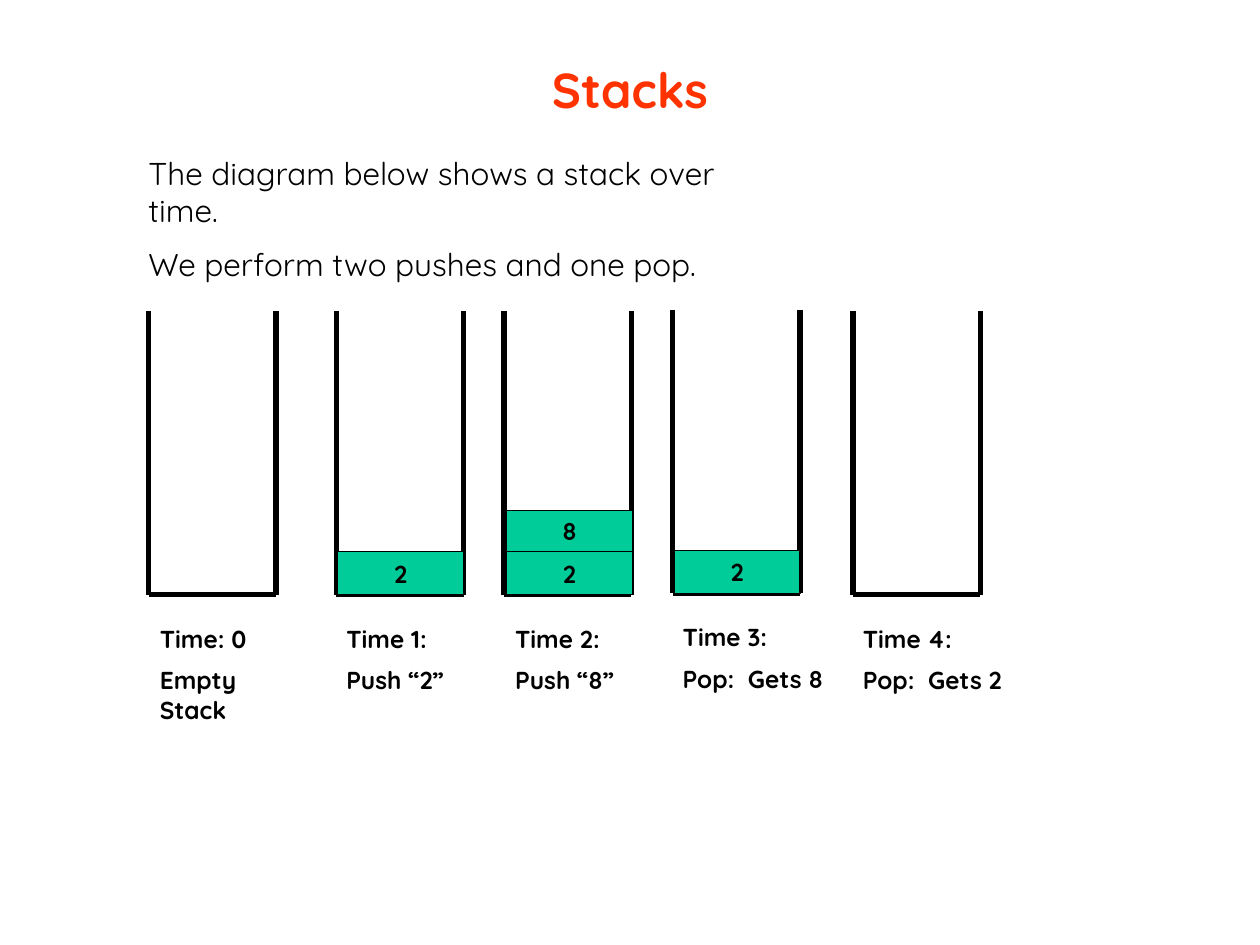
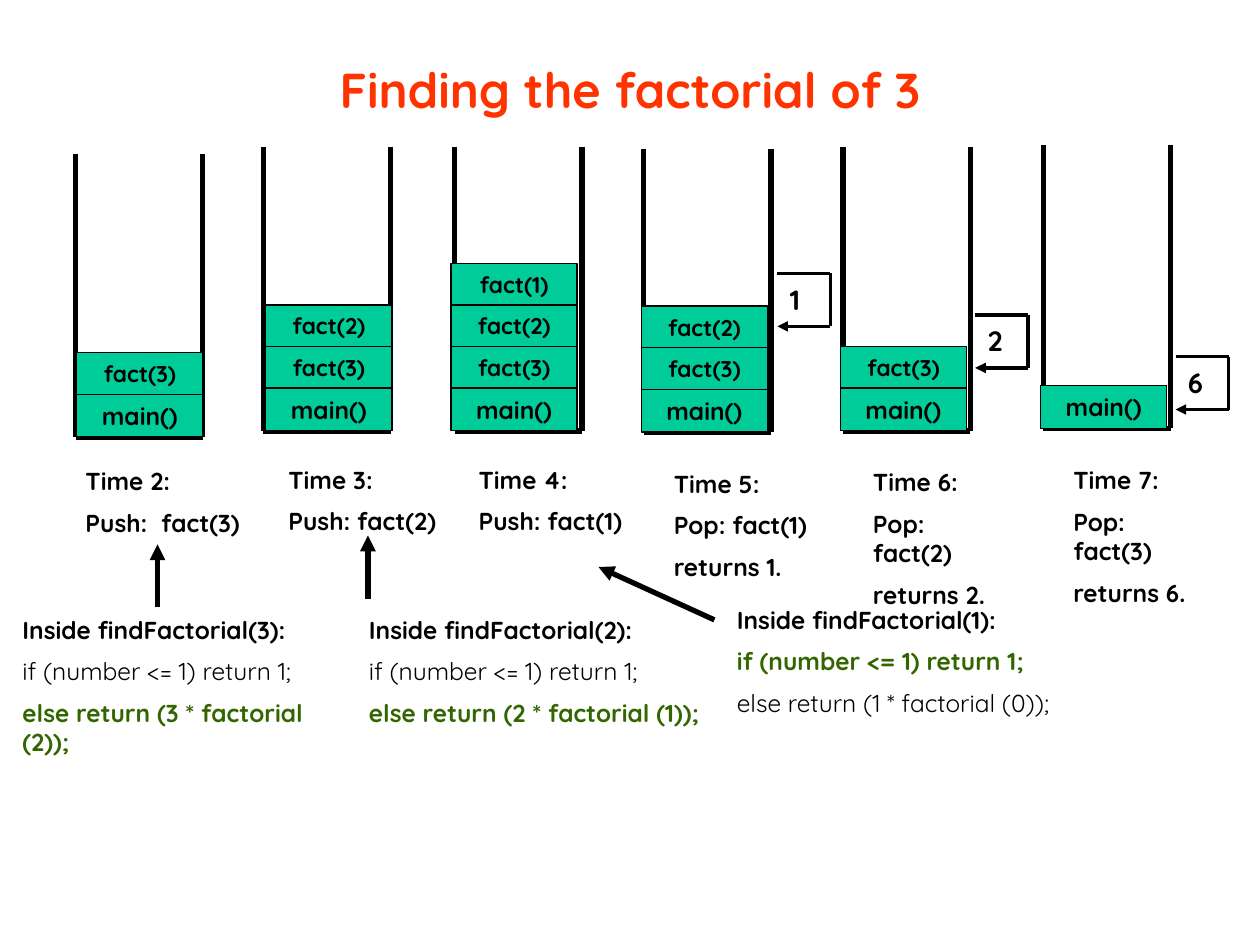
import pptx
import pptx.util
import pptx.dml.color
import pptx.enum.shapes
import pptx.enum.text
import pptx.oxml.ns
from lxml import etree

Inches, Pt = pptx.util.Inches, pptx.util.Pt
ALIGN, ANCHOR = pptx.enum.text.PP_ALIGN, pptx.enum.text.MSO_ANCHOR

COLORS = {"title": "FF3300", "ink": "000000", "frame": "00CC99", "active": "336600"}
FONT = "Quicksand"
BIN_W, BIN_H = 1.01, 2.25
BASE_H, FRAME_H = 0.34, 0.33
LOOP_W, LOOP_H = 0.42, 0.42

INTRO = ["The diagram below shows a stack over time.",
         "We perform two pushes and one pop."]

# bin left, bin top, frames from the bottom up, frame shift,
# label shift right, label shift down, label width, label lines
TIMELINE = [
    (1.18, 2.47, [], 0, -0.01, 2.43, 1.36, ["Time: 0", "Empty Stack"]),
    (2.67, 2.47, ["2"], 0.01, -0.02, 2.43, 1.03, ["Time 1:", "Push “2”"]),
    (4.00, 2.47, ["2", "8"], 0.02, -0.01, 2.43, 1.03, ["Time 2:", "Push “8”"]),
    (5.34, 2.46, ["2"], 0.01, -0.02, 2.43, 1.34, ["Time 3:", "Pop:  Gets 8"]),
    (6.77, 2.47, [], 0, -0.02, 2.43, 1.34, ["Time 4:", "Pop:  Gets 2"]),
]
CALLS = [
    (0.60, 1.22, ["main()", "fact(3)"], 0.01, -0.02, 2.43, 1.61,
     ["Time 2:", "Push:  fact(3)"]),
    (2.09, 1.17, ["main()", "fact(3)", "fact(2)"], 0.02, 0.1, 2.47, 1.39,
     ["Time 3:", "Push: fact(2)"]),
    (3.61, 1.17, ["main()", "fact(3)", "fact(2)", "fact(1)"], -0.03, 0.09, 2.47, 1.39,
     ["Time 4:", "Push: fact(1)"]),
    (5.11, 1.18, ["main()", "fact(3)", "fact(2)"], -0.02, 0.14, 2.49, 1.27,
     ["Time 5:", "Pop: fact(1)", "returns 1."]),
    (6.69, 1.17, ["main()", "fact(3)"], -0.02, 0.14, 2.49, 1.27,
     ["Time 6:", "Pop: fact(2)", "returns 2."]),
    (8.28, 1.15, ["main()"], -0.02, 0.14, 2.49, 1.27,
     ["Time 7:", "Pop: fact(3)", "returns 6."]),
]
# returned value, loop left, loop top
RETURNS = [("1", 6.17, 2.17), ("2", 7.74, 2.5), ("6", 9.33, 2.83)]
# left, top, lines, index of the line that runs, arrow start, arrow end
CODE = [
    (0.08, 4.83, ["Inside findFactorial(3):", "if (number <= 1) return 1;",
                  "else return (3 * factorial (2));"], 2, (1.25, 4.82), (1.25, 4.32)),
    (2.83, 4.83, ["Inside findFactorial(2):", "if (number <= 1) return 1;",
                  "else return (2 * factorial (1));"], 2, (2.92, 4.75), (2.92, 4.25)),
    (5.75, 4.75, ["Inside findFactorial(1):", "if (number <= 1) return 1;",
                  "else return (1 * factorial (0));"], 1, (5.67, 4.92), (4.75, 4.5)),
]


def rgb(name):
    return pptx.dml.color.RGBColor.from_string(COLORS[name])


def write(sp, lines, size, bold=True, color="ink", align=ALIGN.LEFT, anchor=ANCHOR.TOP):
    tf = sp.text_frame
    tf.word_wrap = True
    tf.vertical_anchor = anchor
    for i, line in enumerate(lines):
        p = tf.add_paragraph() if i else tf.paragraphs[0]
        p.text = line
        p.alignment = align
        if i:
            p.space_before = Pt(size / 2)
        p.font.name, p.font.size, p.font.bold = FONT, Pt(size), bold
        p.font.color.rgb = rgb(color)
    return tf


def add_text(s, left, top, width, height, lines, size, **style):
    sp = s.shapes.add_textbox(Inches(left), Inches(top), Inches(width), Inches(height))
    return write(sp, lines, size, **style)


def add_path(s, points, width, arrow=False):
    """Join the points with straight lines, the last one with an optional arrowhead."""
    for start, end in zip(points, points[1:]):
        line = s.shapes.add_connector(pptx.enum.shapes.MSO_CONNECTOR.STRAIGHT,
                                      *map(Inches, start + end))
        line.line.color.rgb = rgb("ink")
        line.line.width = Pt(width)
        etree.SubElement(line._element.spPr, pptx.oxml.ns.qn("a:effectLst"))
    if arrow:
        etree.SubElement(line.line._get_or_add_ln(), pptx.oxml.ns.qn("a:tailEnd"),
                         type="triangle")


def add_frame(s, left, top, height, text, size):
    sp = s.shapes.add_shape(pptx.enum.shapes.MSO_SHAPE.RECTANGLE,
                            Inches(left), Inches(top), Inches(1), Inches(height))
    sp.shadow.inherit = False
    sp.fill.solid()
    sp.fill.fore_color.rgb = rgb("frame")
    sp.line.color.rgb = rgb("ink")
    sp.line.width = Pt(0.75)
    write(sp, [text], size, align=ALIGN.CENTER, anchor=ANCHOR.MIDDLE)


def add_stack(s, left, top, frames, frame_dx, label_dx, label_dy, label_w, label):
    right, bottom = left + BIN_W, top + BIN_H
    add_path(s, [(left, top), (left, bottom), (right, bottom), (right, top)], 3)
    for i, text in enumerate(frames):
        height = FRAME_H if i else BASE_H
        add_frame(s, left + frame_dx, bottom - BASE_H - i * FRAME_H, height, text,
                  13 if text.startswith("fact") else 14)
    add_text(s, left + label_dx, top + label_dy, label_w, 0.35 * len(label), label, 14)


def add_return(s, value, left, top):
    right, bottom = left + LOOP_W, top + LOOP_H
    add_path(s, [(left, top), (right, top), (right, bottom), (left, bottom)], 2, arrow=True)
    add_text(s, left, top + 0.02, 0.32, 0.37, [value], 16)


def add_code(s, left, top, lines, active, start, end):
    tf = add_text(s, left, top, 2.84, 1.23, lines, 14)
    for i, p in enumerate(tf.paragraphs[1:], 1):
        p.font.bold = i == active
        p.font.color.rgb = rgb("active" if i == active else "ink")
    add_path(s, [start, end], 3, arrow=True)


def add_slide(prs, title, stacks):
    s = prs.slides.add_slide(prs.slide_layouts[6])
    add_text(s, 0.75, 0.08, 8.5, 1.25, [title], 28, color="title",
             align=ALIGN.CENTER, anchor=ANCHOR.MIDDLE)
    for stack in stacks:
        add_stack(s, *stack)
    return s


def main():
    prs = pptx.Presentation()
    prs.slide_width, prs.slide_height = Inches(10), Inches(7.5)

    s = add_slide(prs, "Stacks", TIMELINE)
    add_text(s, 1.08, 1.17, 5.27, 0.85, INTRO, 18, bold=False)

    s = add_slide(prs, "Finding the factorial of 3", CALLS)
    for item in RETURNS:
        add_return(s, *item)
    for item in CODE:
        add_code(s, *item)

    prs.save("out.pptx")


if __name__ == "__main__":
    main()
